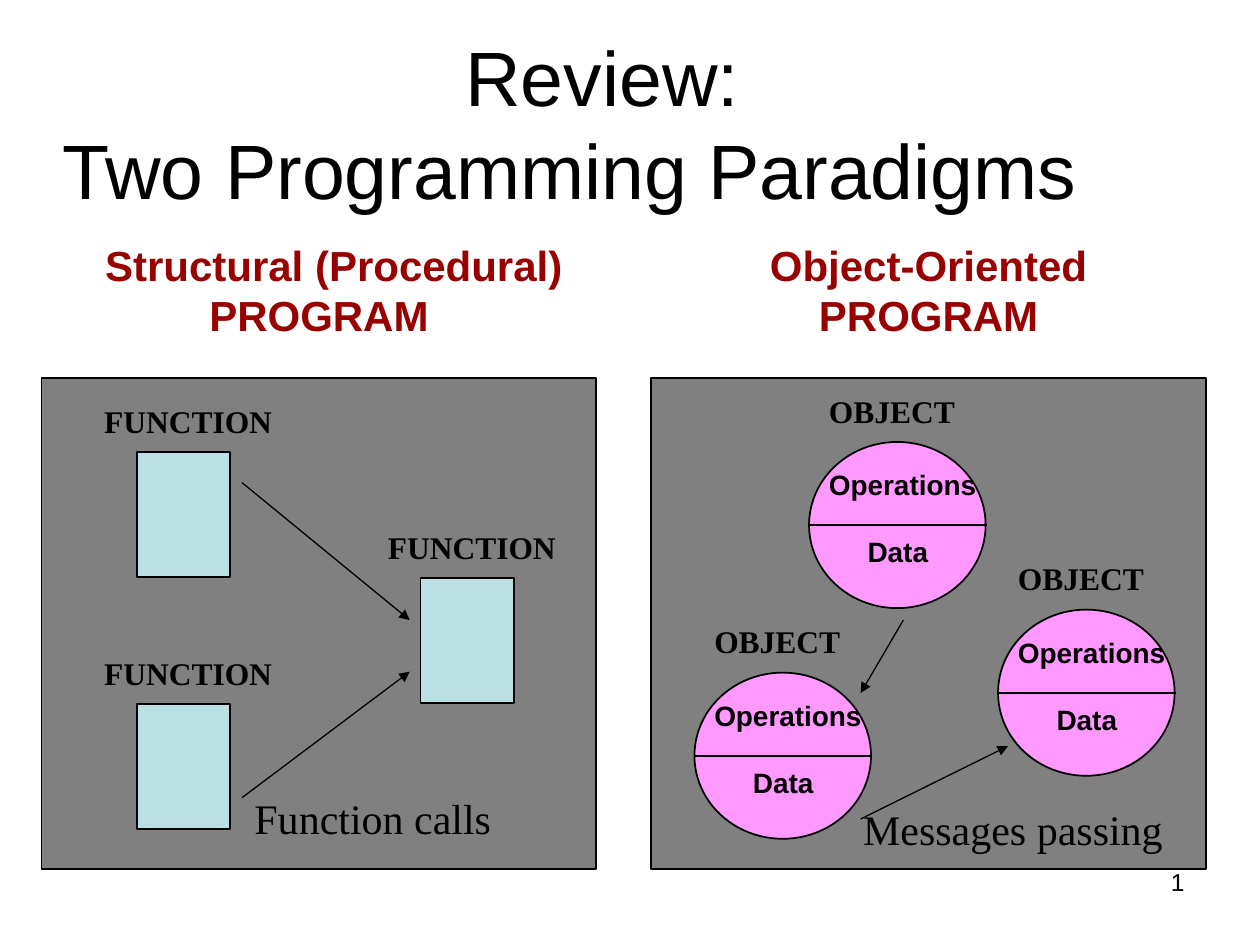
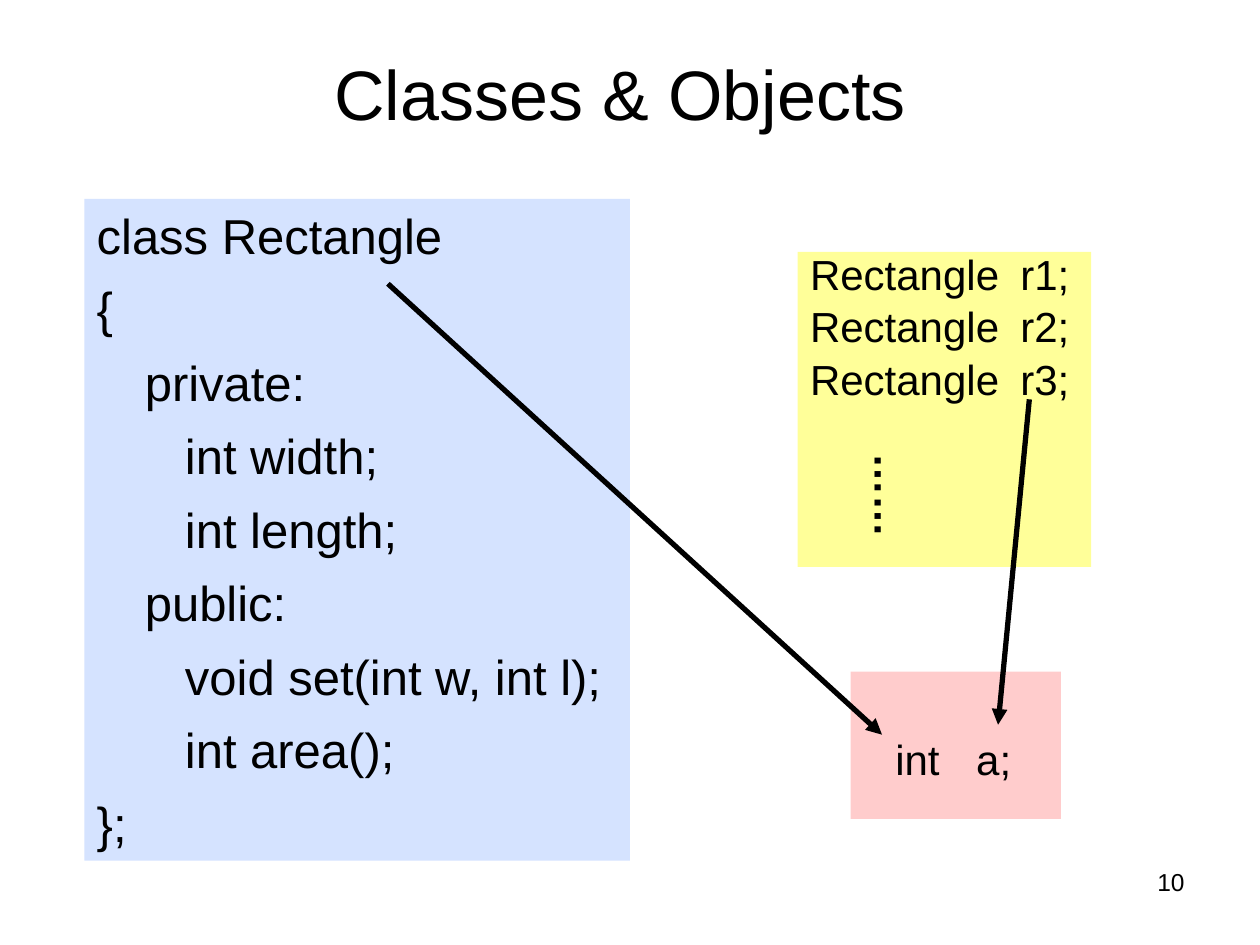
"""Build two slides on programming paradigms, classes and objects."""
from lxml import etree
from pptx import Presentation
from pptx.dml.color import RGBColor
from pptx.enum.shapes import MSO_CONNECTOR, MSO_SHAPE
from pptx.enum.text import MSO_ANCHOR, PP_ALIGN
from pptx.oxml.ns import qn
from pptx.util import Cm, Pt

BLACK = RGBColor(0x00, 0x00, 0x00)
RED = RGBColor(0x99, 0x00, 0x00)
GRAY = RGBColor(0x80, 0x80, 0x80)
TEAL = RGBColor(0xBB, 0xE0, 0xE3)
PINK = RGBColor(0xFF, 0x99, 0xFF)
BLUE = RGBColor(0xD5, 0xE3, 0xFF)
YELLOW = RGBColor(0xFF, 0xFF, 0x99)
ROSE = RGBColor(0xFF, 0xCC, 0xCC)
SANS = "Arial"
SERIF = "Times New Roman"


def put(shapes, box, rows=(), size=24, font=SANS, color=BLACK, bold=False,
        align=PP_ALIGN.LEFT, wrap=True, pads=None, gap=0, tight=None,
        tabs=(), kind=None, fill=None, edge=False):
    """Add a text box or a filled shape, with its rows of text."""
    place = [Cm(n) for n in box]
    if kind is None:
        shape = shapes.add_textbox(*place)
    else:
        shape = shapes.add_shape(kind, *place)
        shape.shadow.inherit = False
        shape.fill.solid()
        shape.fill.fore_color.rgb = fill
        if edge:
            shape.line.color.rgb = BLACK
            shape.line.width = Pt(1)
        else:
            shape.line.fill.background()
    frame = shape.text_frame
    frame.word_wrap = wrap
    frame.vertical_anchor = MSO_ANCHOR.TOP
    for i, row in enumerate(rows):
        para = frame.add_paragraph() if i else frame.paragraphs[0]
        para.text = row
        para.alignment = align
        para.space_before = Pt(gap)
        para.line_spacing = tight
        para.font.size = Pt(size)
        para.font.name = font
        para.font.bold = bold
        para.font.color.rgb = color
        props = para._p.get_or_add_pPr()
        if pads:
            props.set("marL", str(Cm(pads[i])))
        if tabs:
            stops = etree.Element(qn("a:tabLst"))
            for tab in tabs:
                etree.SubElement(stops, qn("a:tab"), pos=str(Cm(tab)), algn="l")
            props.find(qn("a:defRPr")).addprevious(stops)
    return shape


def link(shapes, ends, width, head=True):
    """Draw a straight line, with an arrowhead if wanted."""
    line = shapes.add_connector(MSO_CONNECTOR.STRAIGHT, *[Cm(n) for n in ends])
    line.line.color.rgb = BLACK
    line.line.width = Pt(width)
    if head:
        etree.SubElement(line.line._get_or_add_ln(), qn("a:tailEnd"), type="triangle")
    etree.SubElement(line._element.spPr, qn("a:effectLst"))


deck = Presentation()
deck.slide_width = Cm(25.4)
deck.slide_height = Cm(19.05)

TITLES = [
    (["Review:", "Two Programming Paradigms"], 44, (0, 2.34, 22.99, 2.11),
     MSO_ANCHOR.BOTTOM, (1.3, 0), "1"),
    (["Classes & Objects"], 40, (1.07, 0.97, 22.86, 1.78),
     MSO_ANCHOR.MIDDLE, None, "10"),
]
pages = []
for rows, size, box, anchor, pads, number in TITLES:
    page = deck.slides.add_slide(deck.slide_layouts[6]).shapes
    title = put(page, box, rows, size, align=PP_ALIGN.CENTER, pads=pads)
    title.text_frame.vertical_anchor = anchor
    put(page, (18.21, 17.35, 5.92, 1.32), [number], 14, align=PP_ALIGN.RIGHT)
    pages.append(page)
review, classes = pages

PANELS = [
    (0.84, "Structural (Procedural)", (0.6, 0)),
    (13.13, "Object-Oriented", None),
]
for x, name, pads in PANELS:
    put(review, (x, 4.7, 11.18, 2.29), [name, "PROGRAM"], color=RED, bold=True,
        align=PP_ALIGN.CENTER, pads=pads)
    put(review, (x, 7.62, 11.18, 9.9), kind=MSO_SHAPE.RECTANGLE, fill=GRAY, edge=True)

for x, y in [(1.85, 7.98), (7.57, 10.52), (1.85, 13.06)]:
    group = review.add_group_shape().shapes
    put(group, (x, y, 3.91, 1.02), ["FUNCTION"], 18, SERIF, bold=True, wrap=False)
    put(group, (x + 0.91, y + 1.14, 1.88, 2.51), kind=MSO_SHAPE.RECTANGLE,
        fill=TEAL, edge=True)

for x, y in [(20.27, 11.15), (14.15, 12.42), (16.46, 7.77)]:
    group = review.add_group_shape().shapes
    put(group, (x, y, 3.05, 1.02), ["OBJECT"], 18, SERIF, bold=True, wrap=False)
    put(group, (x - 0.15, y + 1.14, 3.56, 3.35), kind=MSO_SHAPE.OVAL,
        fill=PINK, edge=True)
    link(group, (x - 0.15, y + 2.82, x + 3.43, y + 2.82), 1, head=False)
    put(group, (x, y + 1.54, 3.48, 2.29), ["Operations", "Data"], 16, bold=True,
        wrap=False, pads=(0, 0.78), gap=19)

CALLS = [
    (4.88, 9.73, 8.26, 12.5),
    (4.88, 16.08, 8.26, 13.54),
    (17.35, 16.51, 20.32, 15.04),
    (18.21, 12.5, 17.35, 13.97),
]
for ends in CALLS:
    link(review, ends, 0.75)
put(review, (4.88, 15.85, 5.28, 1.27), ["Function calls"], font=SERIF)
put(review, (17.15, 16.08, 8.25, 1.27), ["Messages passing"], font=SERIF)

CODE = [
    (0, "class Rectangle"),
    (0, "{"),
    (0.97, "private:"),
    (1.78, "int width;"),
    (1.78, "int length;"),
    (0.97, "public:"),
    (1.78, "void set(int w, int l);"),
    (1.78, "int area();"),
    (0, "};"),
]
pads, rows = zip(*CODE)
put(classes, (1.7, 4.01, 11, 13.34), rows, 28, pads=pads, gap=8.4,
    kind=MSO_SHAPE.RECTANGLE, fill=BLUE)
put(classes, (16.08, 5.08, 5.92, 6.35), [f"Rectangle\tr{n};" for n in (1, 2, 3)],
    gap=7, tight=0.8, tabs=[4.24], kind=MSO_SHAPE.RECTANGLE, fill=YELLOW)
dots = put(classes, (17.09, 8.89, 1.52, 1.96), ["……"], bold=True, wrap=False).text_frame
dots.margin_left = dots.margin_right = Cm(0.13)
dots.margin_top = dots.margin_bottom = Cm(0.25)
dots._txBody.bodyPr.set("vert", "eaVert")
whole = put(classes, (17.15, 13.54, 4.24, 2.97), ["\tint\ta;"], tabs=[0.65, 2.28],
            kind=MSO_SHAPE.RECTANGLE, fill=ROSE)
whole.text_frame.margin_top = Cm(1.25)
for ends in [(7.82, 5.72, 17.78, 14.81), (20.75, 8.05, 20.12, 14.61)]:
    link(classes, ends, 3)

deck.save("out.pptx")
